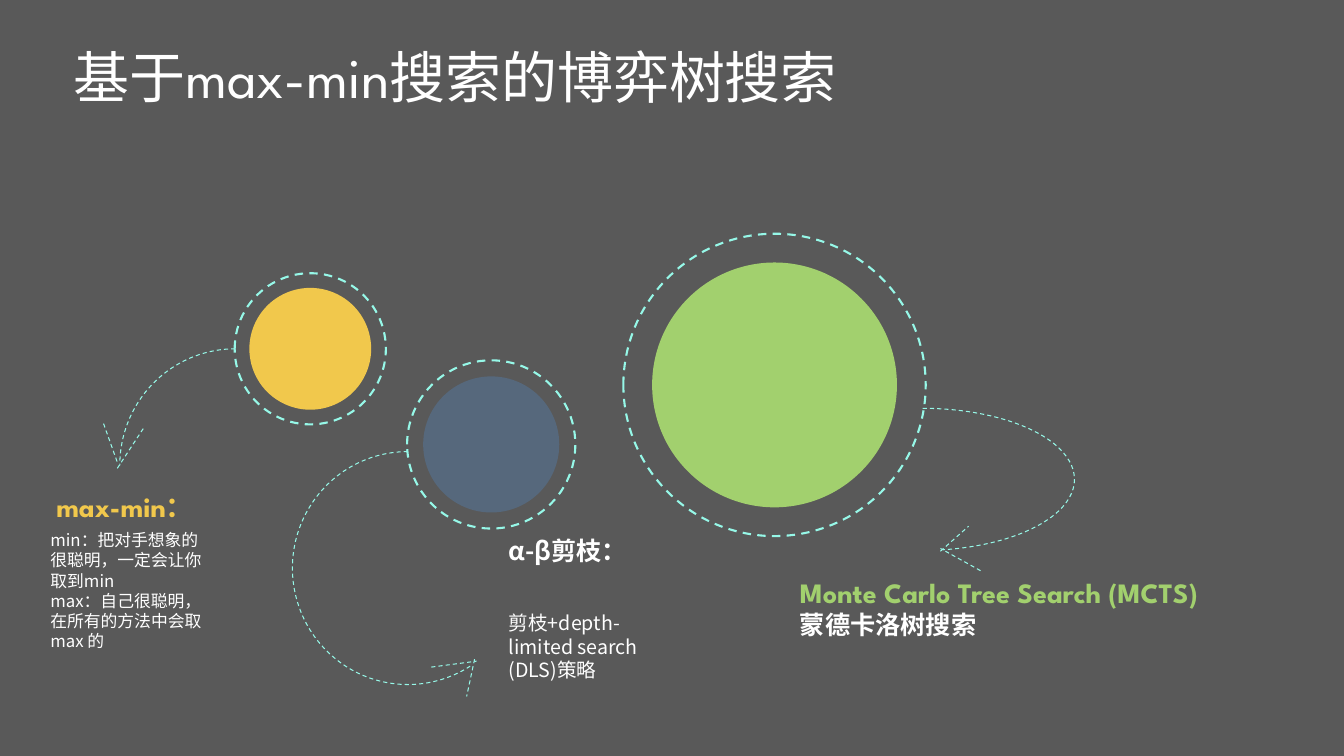
from lxml.etree import SubElement
from pptx import Presentation
from pptx.dml.color import RGBColor
from pptx.enum.dml import MSO_LINE_DASH_STYLE as Dash
from pptx.enum.shapes import MSO_CONNECTOR as Connector, MSO_SHAPE as Shape
from pptx.enum.text import MSO_ANCHOR as Anchor, MSO_AUTO_SIZE as AutoSize, PP_ALIGN as Align
from pptx.oxml.ns import qn
from pptx.util import Cm, Pt

GRAY = RGBColor(0x59, 0x59, 0x59)
WHITE = RGBColor(0xFF, 0xFF, 0xFF)
MINT = RGBColor(0x96, 0xF8, 0xE8)
YELLOW = RGBColor(0xF1, 0xC8, 0x4C)
BLUE = RGBColor(0x56, 0x68, 0x7C)
GREEN = RGBColor(0xA2, 0xD0, 0x6E)
SPARTAN, NOTO = "League Spartan", "Noto Sans CJK SC"

TITLE = "基于max-min搜索的博弈树搜索"
TITLE_AREA = (1.6, 0.94, 20.73, 1.96)

CIRCLES = [
    ((7.82, 8.79), 3.81, 3.07, YELLOW),
    ((12.38, 11.2), 4.24, 3.43, BLUE),
    ((19.52, 9.7), 7.62, 6.17, GREEN),
]
ARCS = [
    ((3.02, 8.79, 5.82, 5.87), True, 0),
    ((7.37, 11.38, 5.82, 5.87), True, 73.692),
    ((19.43, 10.29, 7.65, 3.58), False, 44.242),
]
ARROW_STROKES = [
    (2.95, 11.63, 2.59, 10.62),
    (3.61, 10.8, 2.95, 11.81),
    (11.96, 16.61, 11.76, 17.55),
    (10.87, 16.81, 12.01, 16.66),
    (23.7, 13.89, 24.41, 13.26),
    (24.71, 14.38, 23.7, 13.82),
]
LABELS = [
    ((1.17, 12.22, 4.32, 1.12), False, [("max-min：", SPARTAN, 20, YELLOW, True)]),
    ((1.02, 13.23, 4.65, 3.84), True, [
        ("min：把对手想象的很聪明，一定会让你取到min", NOTO, 12, WHITE, False),
        ("max：自己很聪明，在所有的方法中会取 max 的", NOTO, 12, WHITE, False),
    ]),
    ((12.57, 13.36, 4.06, 1.02), False, [("α-β剪枝：", NOTO, 18, WHITE, True)]),
    ((12.57, 15.27, 4.65, 2.06), True, [
        ("剪枝+depth-limited search (DLS)策略", NOTO, 14, WHITE, False),
    ]),
    ((19.91, 14.38, 11.63, 1.96), False, [
        ("Monte Carlo Tree Search (MCTS)", SPARTAN, 20, GREEN, True),
        ("蒙德卡洛树搜索", NOTO, 18, WHITE, True),
    ]),
]


def lengths(values):
    return [Cm(value) for value in values]


def dash_line(line, width):
    line.color.rgb = MINT
    line.width = Pt(width)
    line.dash_style = Dash.DASH


def add_plain_shape(page, kind, area):
    shape = page.shapes.add_shape(kind, *lengths(area))
    shape.shadow.inherit = False
    shape.fill.background()
    shape.line.fill.background()
    return shape


def add_circle(page, center, diameter):
    left, top = (value - diameter / 2 for value in center)
    return add_plain_shape(page, Shape.OVAL, (left, top, diameter, diameter))


def write(frame, lines, wrap):
    frame.word_wrap = wrap
    frame.auto_size = AutoSize.NONE
    frame.vertical_anchor = Anchor.TOP
    frame.text = "\n".join(line[0] for line in lines)
    for para, (_, font, size, color, bold) in zip(frame.paragraphs, lines):
        para.alignment = Align.LEFT
        for span in para.runs:
            span.font.name = font
            span.font.size = Pt(size)
            span.font.bold = bold
            span.font.color.rgb = color
            east_asian = SubElement(span.font._element, qn("a:ea"))
            east_asian.set("typeface", NOTO)


def main():
    deck = Presentation()
    deck.slide_width, deck.slide_height = Cm(33.87), Cm(19.05)
    page = deck.slides.add_slide(deck.slide_layouts[5])
    page.background.fill.solid()
    page.background.fill.fore_color.rgb = GRAY

    title = page.shapes.title
    title.left, title.top, title.width, title.height = lengths(TITLE_AREA)
    write(title.text_frame, [(TITLE, SPARTAN, 40, WHITE, False)], False)

    for center, ring_size, disc_size, color in CIRCLES:
        ring = add_circle(page, center, ring_size)
        dash_line(ring.line, 1.5)
        disc = add_circle(page, center, disc_size)
        disc.fill.solid()
        disc.fill.fore_color.rgb = color

    for area, flipped, end in ARCS:
        arc = add_plain_shape(page, Shape.ARC, area)
        arc.adjustments[0], arc.adjustments[1] = 162, end
        dash_line(arc.line, 0.75)
        if flipped:
            arc._element.spPr.find(qn("a:xfrm")).set("flipH", "1")

    for ends in ARROW_STROKES:
        stroke = page.shapes.add_connector(Connector.STRAIGHT, *lengths(ends))
        dash_line(stroke.line, 0.75)
        SubElement(stroke._element.spPr, qn("a:effectLst"))

    for area, wrap, lines in LABELS:
        box = page.shapes.add_textbox(*lengths(area))
        write(box.text_frame, lines, wrap)

    deck.save("out.pptx")


if __name__ == "__main__":
    main()
